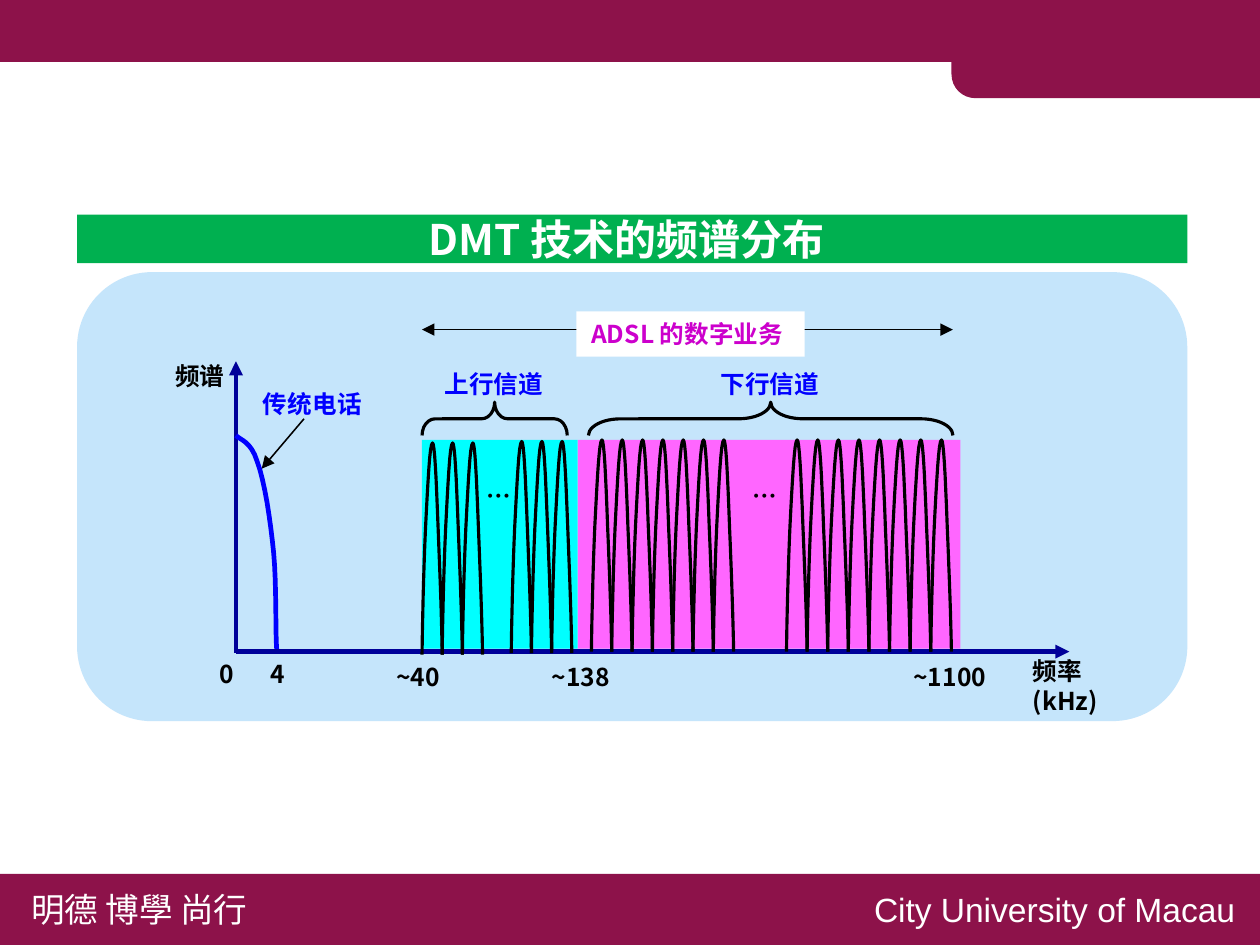
from dataclasses import dataclass

from lxml import etree
from pptx import Presentation
from pptx import util as u
from pptx.dml.color import RGBColor
from pptx.enum import shapes, text
from pptx.oxml import ns


@dataclass(frozen=True)
class Theme:
    """Colours, fonts and type sizes of the slide."""
    maroon: str = "8D124A"
    green: str = "00B050"
    panel: str = "C5E5FB"
    upstream: str = "00FFFF"
    downstream: str = "FF66FF"
    axis: str = "000099"
    blue: str = "0000FF"
    magenta: str = "CC00CC"
    black: str = "000000"
    white: str = "FFFFFF"
    cjk: str = "Noto Sans CJK SC"
    latin: str = "Arial"
    title: float = 20
    footer: float = 16
    label: float = 11.7


@dataclass(frozen=True)
class Box:
    """A region in inches that hands out positions inside itself."""
    x: float
    y: float
    w: float
    h: float

    def sub(self, dx, dy, w, h):
        """Return a box placed relative to this one."""
        return Box(self.x + dx, self.y + dy, w, h)

    def point(self, dx, dy):
        """Return a point placed relative to this box."""
        return self.x + dx, self.y + dy

    def emu(self):
        """Return left, top, width and height as lengths."""
        return [u.Inches(v) for v in (self.x, self.y, self.w, self.h)]


T = Theme()
KIND = shapes.MSO_SHAPE
ALIGN = text.PP_ALIGN
PEAK = [(0, 1), (.02, .85), (.08, .6), (.17, .41), (.28, .2), (.38, 0), (.52, 0),
        (.62, 0), (.7, .15), (.8, .41), (.89, .62), (.98, .85), (1, 1)]
PHONE = [(0, 0), (.03, .03), (.1, .04), (.14, .17), (.19, .3), (.23, .57),
         (.25, .78), (.27, .99), (.26, 1.29), (.27, 1.42)]


def paint(sp, fill=None, line=None, width=1.5):
    """Set the fill and outline of a shape and drop its shadow."""
    sp.shadow.inherit = False
    if fill:
        sp.fill.solid()
        sp.fill.fore_color.rgb = RGBColor.from_string(fill)
    else:
        sp.fill.background()
    if line:
        sp.line.color.rgb = RGBColor.from_string(line)
        sp.line.width = u.Pt(width)
    else:
        sp.line.fill.background()


def block(s, box, fill=None, kind=KIND.RECTANGLE, line=None):
    """Add a preset shape."""
    sp = s.shapes.add_shape(kind, *box.emu())
    paint(sp, fill, line)
    return sp


def write(tf, words, color, size, font, bold, align):
    """Fill a text frame with one formatted paragraph."""
    tf.text = words
    p = tf.paragraphs[0]
    p.alignment = align
    r = p.runs[0]
    r.font.size, r.font.bold, r.font.name = u.Pt(size), bold, font
    r.font.color.rgb = RGBColor.from_string(color)
    ea = etree.SubElement(r.font._element, ns.qn("a:ea"))
    ea.set("typeface", font)


def label(s, box, words, color=T.black, size=T.label, font=T.cjk, bold=True,
          align=ALIGN.LEFT, wrap=False):
    """Add a text box that grows with its text."""
    sp = s.shapes.add_textbox(*box.emu())
    tf = sp.text_frame
    tf.word_wrap = wrap
    tf.auto_size = text.MSO_AUTO_SIZE.SHAPE_TO_FIT_TEXT
    write(tf, words, color, size, font, bold, align)
    return sp


def arrow(s, start, end, color, width, both=False):
    """Add a straight line with a triangle at its end, or at both ends."""
    ends = [u.Inches(v) for v in (*start, *end)]
    c = s.shapes.add_connector(shapes.MSO_CONNECTOR.STRAIGHT, *ends)
    c.line.color.rgb = RGBColor.from_string(color)
    c.line.width = u.Pt(width)
    for tag in ("a:headEnd", "a:tailEnd") if both else ("a:tailEnd",):
        etree.SubElement(c.line._ln, ns.qn(tag)).set("type", "triangle")
    etree.SubElement(c._element.spPr, ns.qn("a:effectLst"))


def bezier(points, steps=8):
    """Sample a chain of cubic curves given by its control points."""
    out = [points[0]]
    for i in range(0, len(points) - 1, 3):
        for t in (n / steps for n in range(1, steps + 1)):
            weights = ((1 - t) ** 3, 3 * t * (1 - t) ** 2, 3 * t * t * (1 - t), t ** 3)
            out.append(tuple(sum(w * p[k] for w, p in zip(weights, points[i:i + 4]))
                             for k in (0, 1)))
    return out


def outline(s, points, fill=None, line=None, width=1.5):
    """Add a freeform through the given points, closed when it is filled."""
    pts = [(u.Inches(x), u.Inches(y)) for x, y in points]
    fb = s.shapes.build_freeform(*pts[0])
    fb.add_line_segments(pts[1:], close=bool(fill))
    paint(fb.convert_to_shape(), fill, line, width)


def brace(s, box):
    """Add a brace that points up and spans the box."""
    tall = box.sub((box.w - box.h) / 2, (box.h - box.w) / 2, box.h, box.w)
    sp = block(s, tall, kind=KIND.LEFT_BRACE, line=T.black)
    sp.rotation = 90
    sp.adjustments[0] = .39 if box.w < 1 else .97


def header(s, box):
    """Draw the top band and the tab that hangs from its right end."""
    block(s, box, T.maroon)
    left, right, low, rad = box.x + 6.3, box.x + box.w, box.y + .66, .16
    corner = bezier([(left, low - rad), (left, low - .07), (left + .07, low),
                     (left + rad, low)])
    outline(s, [(left, box.y + .1), *corner, (right, low), (right, box.y + .1)], T.maroon)


def footer(s, box):
    """Draw the bottom band with the motto and the university name."""
    block(s, box, T.maroon)
    for dx, w, words, font in ((.13, 1.68, "明德 博學 尚行", T.cjk),
                               (5.7, 2.62, "City University of Macau", T.latin)):
        label(s, box.sub(dx, .05, w, .37), words, T.white, T.footer, font, False)


def title_bar(s, box):
    """Turn the title placeholder into a rounded green bar."""
    sp = s.shapes.title
    sp.left, sp.top, sp.width, sp.height = box.emu()
    geom = etree.SubElement(sp._element.spPr, ns.qn("a:prstGeom"))
    geom.set("prst", "roundRect")
    etree.SubElement(geom, ns.qn("a:avLst"))
    sp.fill.solid()
    sp.fill.fore_color.rgb = RGBColor.from_string(T.green)
    tf = sp.text_frame
    tf.word_wrap = False
    tf.auto_size = text.MSO_AUTO_SIZE.NONE
    tf.vertical_anchor = text.MSO_ANCHOR.MIDDLE
    tf.margin_right = u.Inches(.17)
    write(tf, "DMT 技术的频谱分布", T.white, T.title, T.cjk, True, ALIGN.CENTER)


def spectrum(s, box):
    """Draw the panel with the axes, both channels and their carriers."""
    block(s, box, T.panel, KIND.ROUNDED_RECTANGLE)
    block(s, box.sub(2.28, 1.11, 1.03, 1.38), T.upstream)
    block(s, box.sub(3.31, 1.11, 2.53, 1.38), T.downstream)
    arrow(s, box.point(2.28, .38), box.point(5.79, .38), T.black, .75, both=True)
    service = label(s, box.sub(3.3, .26, 1.51, .3), "ADSL 的数字业务", T.magenta)
    service.fill.solid()
    service.fill.fore_color.rgb = RGBColor.from_string(T.white)

    arrow(s, box.point(1.05, 2.52), box.point(1.05, .59), T.axis, 2.25)
    outline(s, bezier([box.point(1.05 + x, 1.08 + y) for x, y in PHONE]),
            line=T.blue, width=2.25)
    arrow(s, box.point(1.05, 2.51), box.point(6.56, 2.51), T.axis, 2.25)
    arrow(s, box.point(1.5, .97), box.point(1.22, 1.3), T.black, .75)
    label(s, box.sub(1.13, .72, .85, .3), "传统电话", T.blue)

    for dx, w, words in ((2.28, .96, "上行信道"), (3.38, 2.41, "下行信道")):
        brace(s, box.sub(dx, .86, w, .22))
        label(s, box.sub(dx + w / 2 - .43, .59, .85, .3), words, T.blue,
              align=ALIGN.CENTER)
    for first, last, count, top in ((2.28, 2.68, 3, 1.13), (2.87, 3.27, 3, 1.12),
                                    (3.4, 4.34, 7, 1.11), (4.69, 5.78, 8, 1.11)):
        w = (last - first) / count
        for i in range(count):
            outline(s, bezier([box.point(first + (i + x) * w, top + 1.4 * y)
                               for x, y in PEAK]), line=T.black)
    for dx, dy, w, words in ((2.61, 1.33, .36, "…"), (4.37, 1.33, .36, "…"),
                             (.55, .54, .53, "频谱"), (.84, 2.51, .3, "0"),
                             (1.18, 2.51, .3, "4"), (2.01, 2.53, .53, "~40"),
                             (3.04, 2.53, .63, "~138"), (5.43, 2.53, .73, "~1100")):
        label(s, box.sub(dx, dy, w, .3), words)
    label(s, box.sub(6.22, 2.49, .7, .5), "频率(kHz)", wrap=True)


def main():
    """Build the slide and save it."""
    prs = Presentation()
    prs.slide_width, prs.slide_height = u.Inches(8.33), u.Inches(6.25)
    s = prs.slides.add_slide(prs.slide_layouts[5])
    header(s, Box(-.01, -.01, 8.35, .42))
    footer(s, Box(-.02, 5.78, 8.36, .49))
    title_bar(s, Box(.51, 1.42, 7.34, .32))
    spectrum(s, Box(.51, 1.8, 7.34, 2.97))
    prs.save("out.pptx")


if __name__ == "__main__":
    main()
